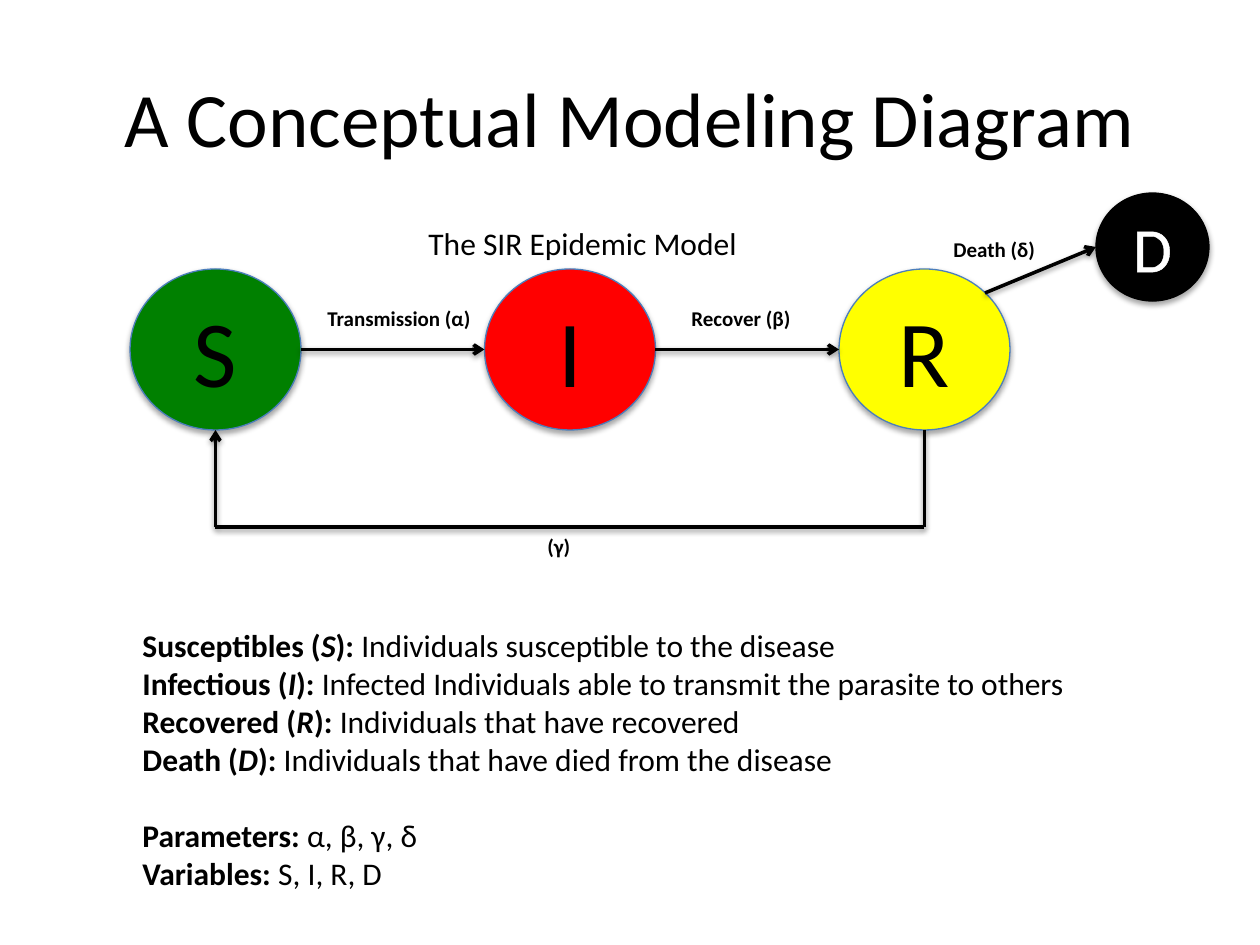
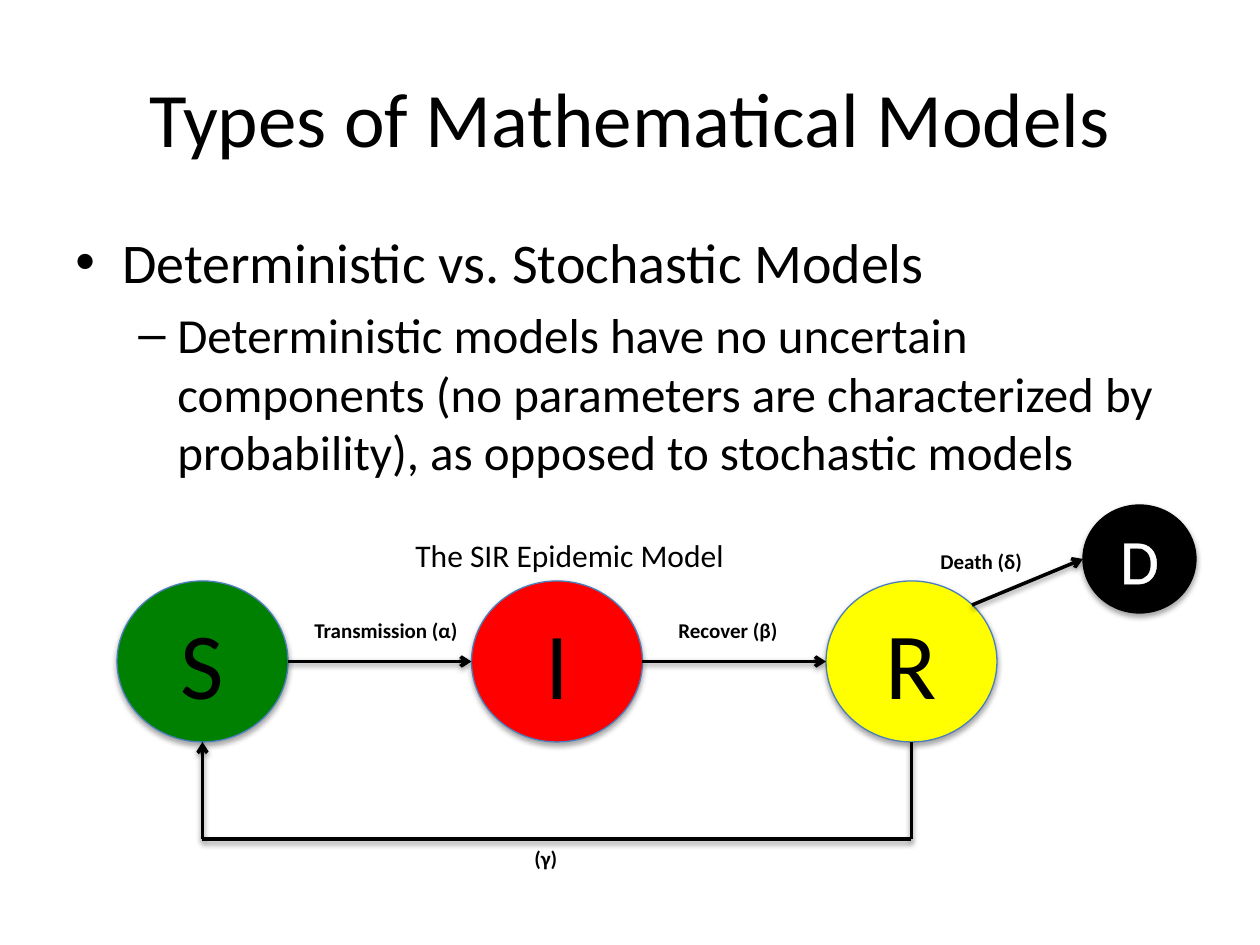
from lxml import etree
from pptx import Presentation
from pptx.dml.color import RGBColor
from pptx.enum.shapes import MSO_CONNECTOR, MSO_SHAPE
from pptx.enum.text import MSO_ANCHOR as ANCHOR, PP_ALIGN as ALIGN
from pptx.oxml.ns import qn
from pptx.util import Emu, Pt

EMU_PER_PX = 914400 / 126
FONT = "Calibri"
COLORS = {
    "text": "000000",
    "inverse": "FFFFFF",
    "circle_line": "4B7EBC",
    "susceptible": "008000",
    "infectious": "FF0000",
    "recovered": "FFFF00",
    "death": "000000",
}

TITLE_BOX = (63, 38, 1134, 158)
BODY_BOX = (63, 221, 1134, 272)
LEGEND_BOX = (130, 620, 961, 280)

# Size and rhythm of the SIR diagram, relative to its top left corner
CIRCLE_WIDTH, CIRCLE_HEIGHT = 171, 161
CIRCLE_TOP, CIRCLE_STEP = 76, 354.5
DEATH_BOX = (966, 0, 113, 108)
RETURN_Y = 334

COMPARTMENTS = [("S", "susceptible"), ("I", "infectious"), ("R", "recovered")]
FLOW_LABELS = [
    ("Transmission (α)", 185, 106),
    ("Recover (β)", 549, 106),
    ("Death (δ)", 811, 37),
    ("(γ)", 405, RETURN_Y),
]

# Name, symbol (if any), description, points of space before
LEGEND = [
    ("Susceptibles", "S", "Individuals susceptible to the disease", 0),
    ("Infectious", "I", "Infected Individuals able to transmit the parasite to others", 0),
    ("Recovered", "R", "Individuals that have recovered", 0),
    ("Death", "D", "Individuals that have died from the disease", 0),
    ("Parameters", None, "α, β, γ, δ", 22),
    ("Variables", None, "S, I, R, D", 0),
]

# Text, bullet, size, left margin, hanging indent, points of space before
MODEL_POINTS = [
    ("Deterministic vs. Stochastic Models", "•", 32, 47, 47, 0),
    ("Deterministic models have no uncertain components (no parameters are "
     "characterized by probability), as opposed to stochastic models",
     "–", 28, 102, 39, 5.6),
]


def px(length):
    return Emu(round(length * EMU_PER_PX))


def rgb(name):
    return RGBColor.from_string(COLORS[name])


def add_run(paragraph, text, size, color="text", bold=False, italic=False):
    run = paragraph.add_run()
    run.text = text
    font = run.font
    font.name, font.size = FONT, Pt(size)
    font.bold, font.italic = bold, italic
    font.color.rgb = rgb(color)
    return run


def add_text_frame(slide, box, anchor=ANCHOR.TOP):
    frame = slide.shapes.add_textbox(*map(px, box)).text_frame
    frame.word_wrap = True
    frame.vertical_anchor = anchor
    return frame


def add_paragraph(frame, index):
    return frame.paragraphs[0] if index == 0 else frame.add_paragraph()


def add_shadow(shape, opacity, distance):
    """Give a shape or connector a soft shadow straight below it."""
    effects = etree.SubElement(shape._element.spPr, qn("a:effectLst"))
    shadow = etree.SubElement(
        effects, qn("a:outerShdw"), blurRad="40000", dist=str(distance),
        dir="5400000", rotWithShape="0")
    color = etree.SubElement(shadow, qn("a:srgbClr"), val=COLORS["text"])
    etree.SubElement(color, qn("a:alpha"), val=str(opacity * 1000))


def outline_letter(run, color):
    properties = run._r.get_or_add_rPr()
    line = etree.Element(qn("a:ln"), w=str(Pt(0.75)))
    fill = etree.SubElement(line, qn("a:solidFill"))
    etree.SubElement(fill, qn("a:srgbClr"), val=COLORS[color])
    properties.insert(0, line)


def add_circle(slide, box, letter, size, fill, line, color):
    circle = slide.shapes.add_shape(MSO_SHAPE.OVAL, *map(px, box))
    circle.fill.solid()
    circle.fill.fore_color.rgb = rgb(fill)
    circle.line.color.rgb = rgb(line)
    circle.line.width = Pt(0.75)
    add_shadow(circle, 35, 23000)
    frame = circle.text_frame
    frame.vertical_anchor = ANCHOR.MIDDLE
    paragraph = frame.paragraphs[0]
    paragraph.alignment = ALIGN.CENTER
    outline_letter(add_run(paragraph, letter, size, color), color)


def add_flow(slide, start, end, arrow=True):
    flow = slide.shapes.add_connector(
        MSO_CONNECTOR.STRAIGHT, *map(px, (*start, *end)))
    flow.line.color.rgb = rgb("text")
    flow.line.width = Pt(2)
    if arrow:
        etree.SubElement(flow.line._get_or_add_ln(), qn("a:tailEnd"), type="arrow")
    add_shadow(flow, 38, 20000)


def add_title(slide, text):
    paragraph = add_text_frame(slide, TITLE_BOX, ANCHOR.MIDDLE).paragraphs[0]
    paragraph.alignment = ALIGN.CENTER
    add_run(paragraph, text, 44)


def add_sir_diagram(slide, left, top):
    def at(x, y):
        return left + x, top + y

    for index, (letter, fill) in enumerate(COMPARTMENTS):
        corner = at(index * CIRCLE_STEP, CIRCLE_TOP)
        add_circle(slide, (*corner, CIRCLE_WIDTH, CIRCLE_HEIGHT),
                   letter, 54, fill, "circle_line", "text")
    death_x, death_y, death_width, death_height = DEATH_BOX
    add_circle(slide, (*at(death_x, death_y), death_width, death_height),
               "D", 36, "death", "death", "inverse")

    middle = CIRCLE_TOP + CIRCLE_HEIGHT / 2
    for index in range(len(COMPARTMENTS) - 1):
        start = index * CIRCLE_STEP + CIRCLE_WIDTH
        add_flow(slide, at(start, middle), at((index + 1) * CIRCLE_STEP, middle))
    add_flow(slide, at(855, 100), at(death_x, death_y + death_height / 2))

    bottom = CIRCLE_TOP + CIRCLE_HEIGHT
    first_x = CIRCLE_WIDTH / 2
    last_x = first_x + 2 * CIRCLE_STEP
    add_flow(slide, at(last_x, bottom), at(last_x, RETURN_Y), arrow=False)
    add_flow(slide, at(first_x, RETURN_Y), at(last_x, RETURN_Y), arrow=False)
    add_flow(slide, at(first_x, RETURN_Y), at(first_x, bottom))

    caption = add_text_frame(slide, (*at(286, 25), 336, 50))
    add_run(caption.paragraphs[0], "The SIR Epidemic Model", 18)
    for text, x, y in FLOW_LABELS:
        label = add_text_frame(slide, (*at(x, y), CIRCLE_WIDTH, 38))
        add_run(label.paragraphs[0], text, 12, bold=True)


def add_legend(slide, box):
    frame = add_text_frame(slide, box)
    for index, (name, symbol, description, space) in enumerate(LEGEND):
        paragraph = add_paragraph(frame, index)
        paragraph.space_before = Pt(space)
        if symbol:
            add_run(paragraph, f"{name} (", 18, bold=True)
            add_run(paragraph, symbol, 18, bold=True, italic=True)
            add_run(paragraph, "): ", 18, bold=True)
        else:
            add_run(paragraph, f"{name}: ", 18, bold=True)
        add_run(paragraph, description, 18)


def add_bullets(slide, box):
    frame = add_text_frame(slide, box)
    for index, (text, bullet, size, margin, hanging, space) in enumerate(MODEL_POINTS):
        paragraph = add_paragraph(frame, index)
        paragraph.level = index
        paragraph.space_before = Pt(space)
        properties = paragraph._p.get_or_add_pPr()
        properties.set("marL", str(px(margin)))
        properties.set("indent", str(-px(hanging)))
        etree.SubElement(properties, qn("a:buFont"), typeface="Arial")
        etree.SubElement(properties, qn("a:buChar"), char=bullet)
        add_run(paragraph, text, size)


def build_conceptual_slide(slide):
    add_title(slide, "A Conceptual Modeling Diagram")
    add_sir_diagram(slide, 130, 193)
    add_legend(slide, LEGEND_BOX)


def build_model_types_slide(slide):
    add_title(slide, "Types of Mathematical Models")
    add_bullets(slide, BODY_BOX)
    add_sir_diagram(slide, 117, 505)


def main():
    presentation = Presentation()
    presentation.slide_width, presentation.slide_height = px(1260), px(945)
    blank = presentation.slide_layouts[6]
    for build in (build_conceptual_slide, build_model_types_slide):
        build(presentation.slides.add_slide(blank))
    presentation.save("out.pptx")


if __name__ == "__main__":
    main()
